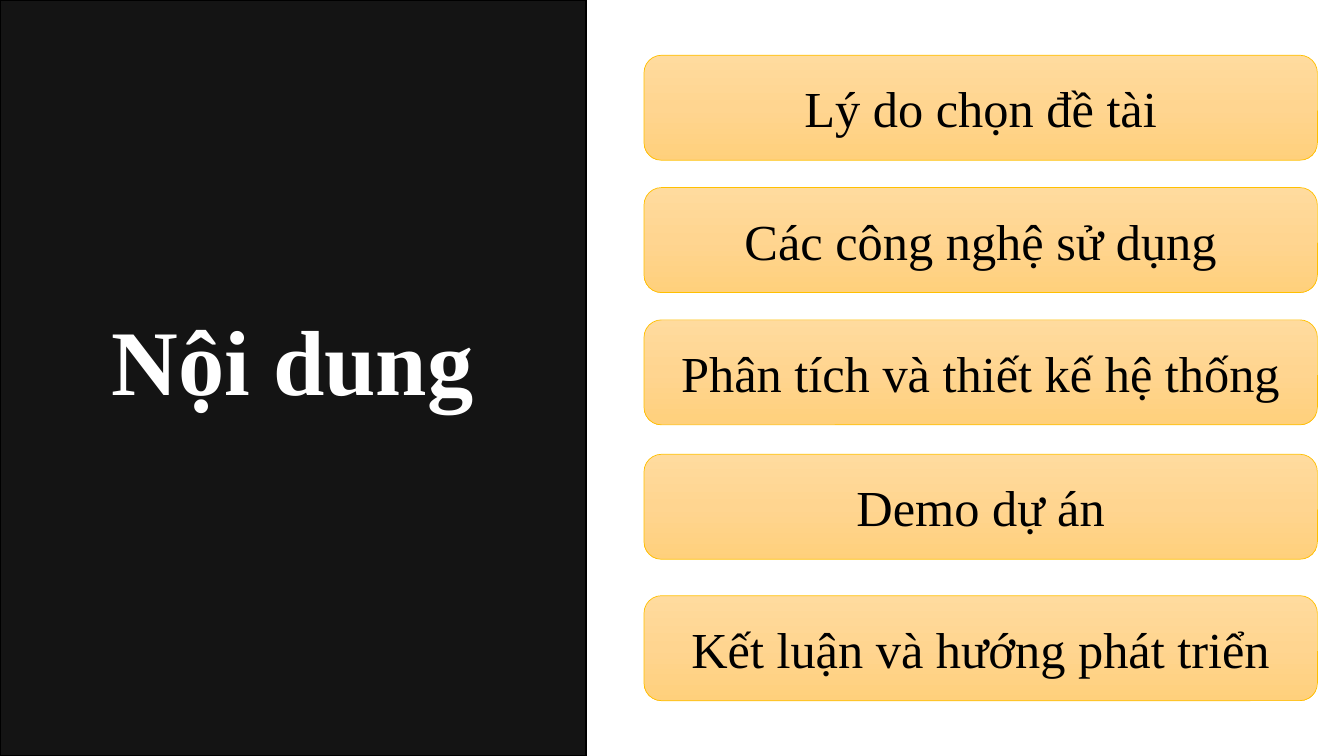
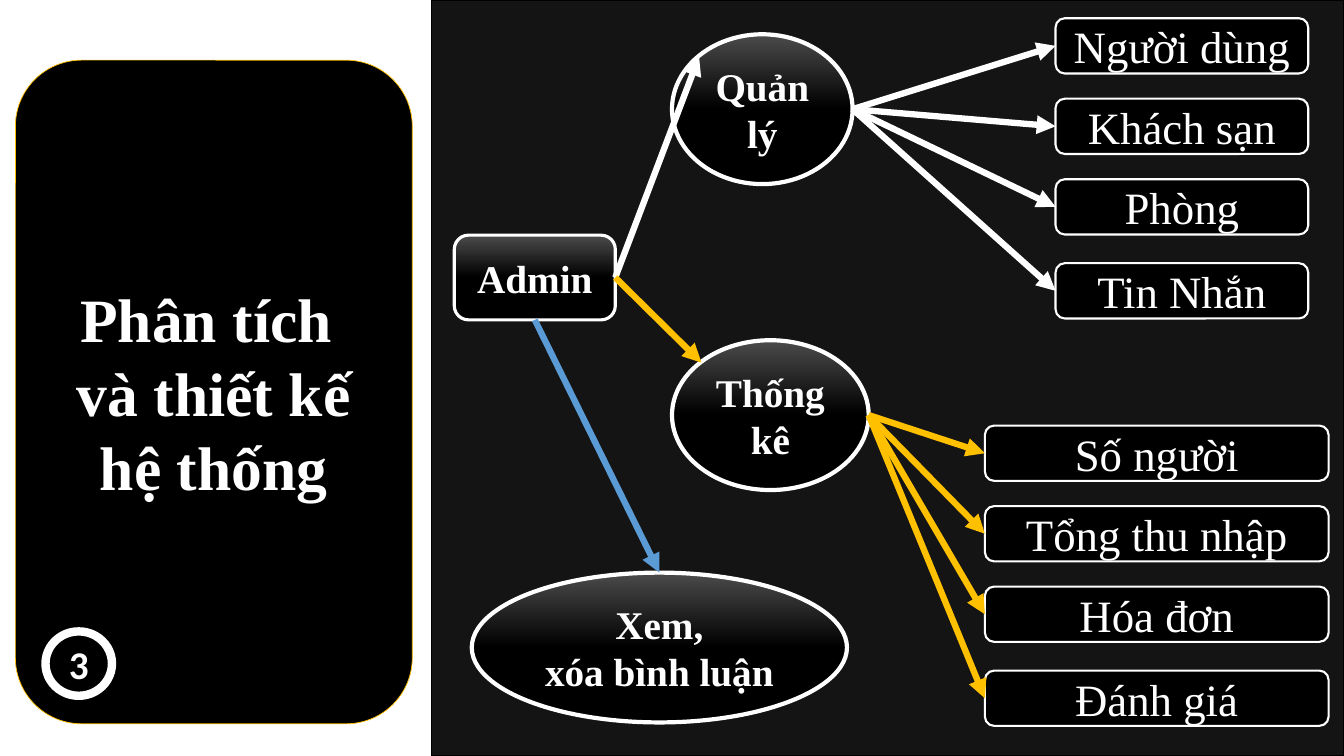
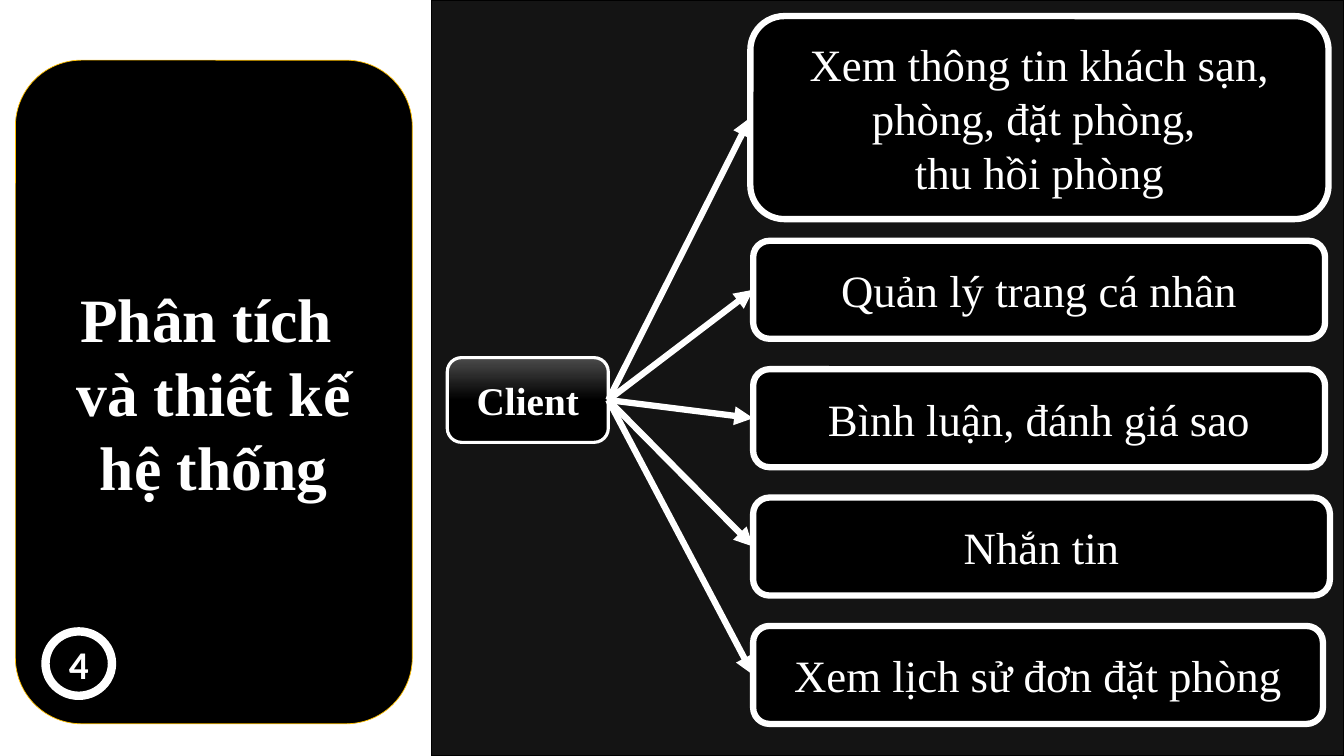
from copy import deepcopy

from lxml import etree
from pptx import Presentation
from pptx.dml.color import RGBColor
from pptx.enum import shapes, text
from pptx.oxml.ns import qn
from pptx.util import Pt

SERIF, SANS = "Times New Roman", "Calibri"
WHITE, BLACK, GOLD, BLUE = "FFFFFF", "000000", "FFC000", "5B9BD5"
AMBER_FADE = ("FFDB9E", "FFD590", "FFD07C")
DARK_FADE = ("4B4B4B", BLACK, BLACK)
RECT, ROUND, OVAL = (shapes.MSO_SHAPE.RECTANGLE, shapes.MSO_SHAPE.ROUNDED_RECTANGLE,
                     shapes.MSO_SHAPE.OVAL)
# Connection sites: index, then position as a share of width and height
SITES = {
    ROUND: {"top": (0, 0.5, 0), "left": (1, 0, 0.5), "bottom": (2, 0.5, 1), "right": (3, 1, 0.5)},
    OVAL: {"top": (0, 0.5, 0), "top left": (1, 0.15, 0.15), "right": (6, 1, 0.5)},
}

AGENDA_TITLE = "Nội dung"
AGENDA = [  # label, top
    ("Lý do chọn đề tài", 39.5),
    ("Các công nghệ sử dụng", 134),
    ("Phân tích và thiết kế hệ thống", 228.5),
    ("Demo dự án", 324.5),
    ("Kết luận và hướng phát triển", 425.5),
]

SECTION_TITLE = "Phân tích \nvà thiết kế hệ thống"

ADMIN = ("Admin", (324.5, 168, 115, 60.5))
ADMIN_TASKS = [  # label, area, arrow colour, sites joined
    ("Quản lý", (480, 24.5, 129, 107), WHITE, "right", "top left"),
    ("Thống kê", (480, 243, 140.5, 107), GOLD, "right", "top left"),
    ("Xem,\nxóa bình luận", (337, 409, 268, 107), BLUE, "bottom", "top"),
]
TASK_ITEMS = {  # task: left, top, width, labels
    "Quản lý": (754, 13, 180.5, ["Người dùng", "Khách sạn", "Phòng", "Tin Nhắn"]),
    "Thống kê": (703.5, 304, 245.5, ["Số người", "Tổng thu nhập", "Hóa đơn", "Đánh giá"]),
}
ITEM_OFFSETS = (0, 57.5, 115, 175)
ITEM_HEIGHT = 39.5

CLIENT = ("Client", (319.5, 255.5, 115, 60.5))
CLIENT_MAIN = ("Xem thông tin khách sạn, phòng, đặt phòng, \nthu hồi phòng", (536, 11.5, 413, 145))
CLIENT_ACTIONS = [  # label, width
    ("Quản lý trang cá nhân", 408.5),
    ("Bình luận, đánh giá sao", 408.5),
    ("Nhắn tin", 412),
    ("Xem lịch sử đơn đặt phòng", 407),
]
ACTION_LEFT, ACTION_TOP, ACTION_PITCH, ACTION_HEIGHT = 538, 172, 91.7, 70


def rgb(color):
    return RGBColor.from_string(color)


def write(shape, label, size, color=WHITE, bold=False, font=SERIF):
    shape.text_frame.text = label
    for paragraph in shape.text_frame.paragraphs:
        paragraph.alignment = text.PP_ALIGN.CENTER
        for run in paragraph.runs:
            run.font.name, run.font.size, run.font.bold = font, Pt(size), bold
            run.font.color.rgb = rgb(color)


def paint(fill, colors):
    """Fill with one colour, or with a downward three-colour gradient."""
    if isinstance(colors, str):
        fill.solid()
        fill.fore_color.rgb = rgb(colors)
        return
    fill.gradient()
    fill.gradient_angle = 270
    first = fill.gradient_stops[0]._gs
    first.addnext(deepcopy(first))
    for stop, color, position in zip(fill.gradient_stops, colors, (0, 0.5, 1)):
        stop.color.rgb = rgb(color)
        stop.position = position


def add_box(slide, kind, area, fill, line, line_width):
    box = slide.shapes.add_shape(kind, *map(Pt, area))
    box.shadow.inherit = False
    paint(box.fill, fill)
    box.line.color.rgb = rgb(line)
    box.line.width = Pt(line_width)
    box.text_frame.word_wrap = True
    box.text_frame.vertical_anchor = text.MSO_ANCHOR.MIDDLE
    return box


def add_panel(slide, left, width):
    panel = add_box(slide, RECT, (left, 0, width, 540), BLACK, BLACK, 1)
    color = panel.fill._xPr.find(qn("a:solidFill"))[0]
    etree.SubElement(color, qn("a:alpha"), val="92000")


def add_actor(slide, label, area):
    actor = add_box(slide, ROUND, area, DARK_FADE, WHITE, 2.25)
    write(actor, label, 28, bold=True)
    return actor


def add_item(slide, label, area, line_width):
    item = add_box(slide, ROUND, area, BLACK, WHITE, line_width)
    write(item, label, 32)
    return item


def add_arrow(slide, source, target, color=WHITE, source_site="right", target_site="left"):
    """Draw an arrow glued to the named sites of two shapes."""
    points, glue = [], []
    for shape, site in ((source, source_site), (target, target_site)):
        index, across, down = SITES[shape.auto_shape_type][site]
        points += [int(shape.left + across * shape.width), int(shape.top + down * shape.height)]
        glue.append({"id": str(shape.shape_id), "idx": str(index)})
    arrow = slide.shapes.add_connector(shapes.MSO_CONNECTOR.STRAIGHT, *points)
    arrow.line.color.rgb = rgb(color)
    arrow.line.width = Pt(4.5)
    etree.SubElement(arrow.line._get_or_add_ln(), qn("a:tailEnd"), type="triangle")
    etree.SubElement(arrow._element.spPr, qn("a:effectLst"))
    links = arrow._element.find(".//" + qn("p:cNvCxnSpPr"))
    for tag, ends in zip(("a:stCxn", "a:endCxn"), glue):
        etree.SubElement(links, qn(tag), ends)


def new_slide(deck):
    return deck.slides.add_slide(deck.slide_layouts[6])


def section_slide(deck, number):
    """Add a slide with the dark panel, the title card and its number badge."""
    slide = new_slide(deck)
    add_panel(slide, 308, 652)
    card = add_box(slide, ROUND, (11, 43, 283.5, 474), BLACK, GOLD, 0.5)
    write(card, SECTION_TITLE, 44, bold=True)
    badge = add_box(slide, OVAL, (32.5, 451, 47.5, 46), BLACK, WHITE, 6)
    write(badge, str(number), 28, bold=True, font=SANS)
    return slide


def agenda_slide(deck):
    slide = new_slide(deck)
    add_panel(slide, 0, 418.5)
    title = slide.shapes.add_textbox(*map(Pt, (52.5, 213, 313, 87)))
    title.text_frame.word_wrap = True
    write(title, AGENDA_TITLE, 66, bold=True)
    for label, top in AGENDA:
        topic = add_box(slide, ROUND, (460, top, 481, 75), AMBER_FADE, GOLD, 0.5)
        write(topic, label, 36, BLACK)


def admin_slide(deck):
    slide = section_slide(deck, 3)
    admin = add_actor(slide, *ADMIN)
    for label, area, color, source_site, target_site in ADMIN_TASKS:
        task = add_box(slide, OVAL, area, DARK_FADE, WHITE, 3)
        write(task, label, 28, bold=True)
        add_arrow(slide, admin, task, color, source_site, target_site)
        left, top, width, items = TASK_ITEMS.get(label, (0, 0, 0, []))
        for item_label, offset in zip(items, ITEM_OFFSETS):
            item = add_item(slide, item_label, (left, top + offset, width, ITEM_HEIGHT), 1.5)
            add_arrow(slide, task, item, color)


def client_slide(deck):
    slide = section_slide(deck, 4)
    client = add_actor(slide, *CLIENT)
    actions = [CLIENT_MAIN] + [
        (label, (ACTION_LEFT, ACTION_TOP + row * ACTION_PITCH, width, ACTION_HEIGHT))
        for row, (label, width) in enumerate(CLIENT_ACTIONS)
    ]
    for label, area in actions:
        add_arrow(slide, client, add_item(slide, label, area, 4.5))


def main():
    deck = Presentation()
    deck.slide_width, deck.slide_height = Pt(960), Pt(540)
    agenda_slide(deck)
    admin_slide(deck)
    client_slide(deck)
    deck.save("out.pptx")


if __name__ == "__main__":
    main()
